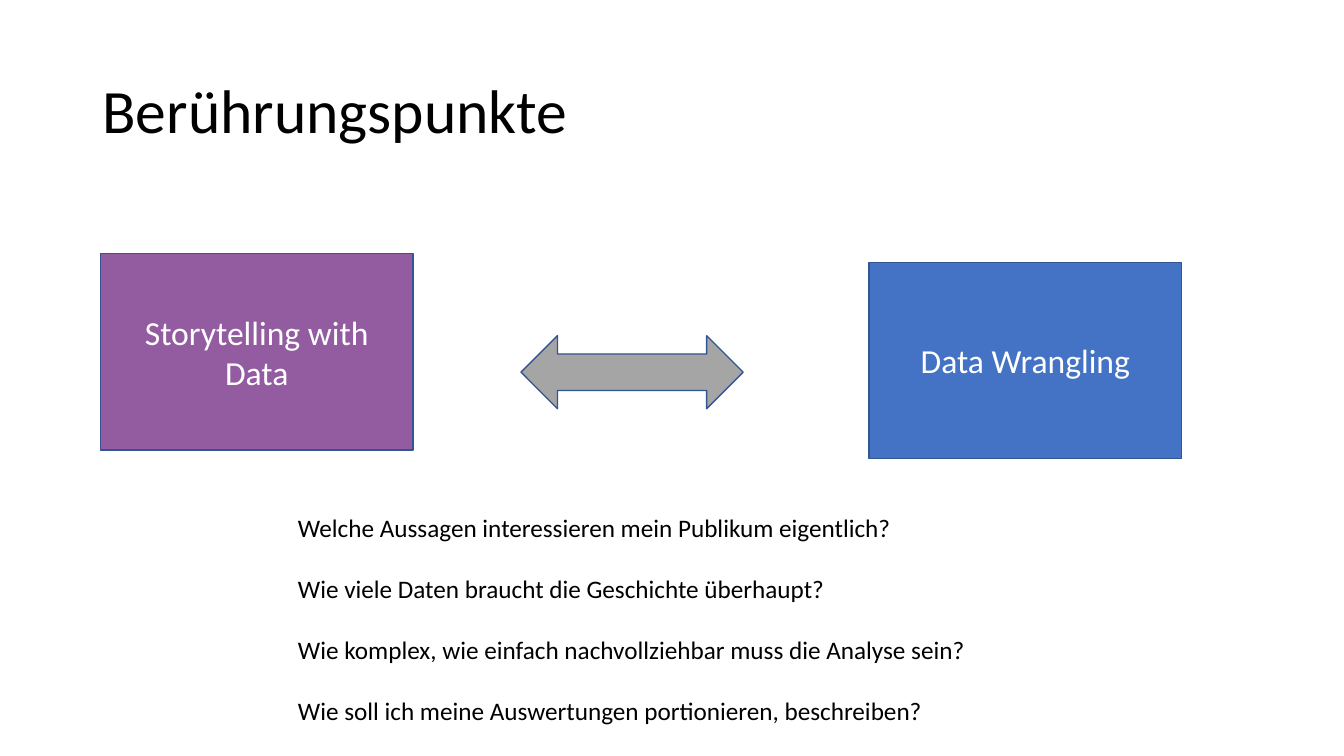
"""Build the slide on points of contact between storytelling and wrangling."""
from pptx import Presentation
from pptx.dml.color import RGBColor
from pptx.enum import shapes, text
from pptx.util import Cm, Pt

BLACK = RGBColor(0x00, 0x00, 0x00)
WHITE = RGBColor(0xFF, 0xFF, 0xFF)
BLUE = RGBColor(0x44, 0x72, 0xC4)
PURPLE = RGBColor(0x93, 0x5C, 0xA0)
GREY = RGBColor(0xA5, 0xA5, 0xA5)
NAVY = RGBColor(0x32, 0x54, 0x91)


def write(para, words, size, color):
    run = para.add_run()
    run.text = words
    run.font.name = "Calibri"
    run.font.size = Pt(size)
    run.font.color.rgb = color


deck = Presentation()
deck.slide_width, deck.slide_height = Cm(33.87), Cm(19.05)
slide = deck.slides.add_slide(deck.slide_layouts[5])

title = slide.shapes.title
title.left, title.top, title.width, title.height = Cm(2.33), Cm(1.01), Cm(29.21), Cm(3.68)
frame = title.text_frame
frame.auto_size = text.MSO_AUTO_SIZE.NONE
frame.vertical_anchor = text.MSO_ANCHOR.MIDDLE
para = frame.paragraphs[0]
para.alignment = text.PP_ALIGN.LEFT
para.line_spacing = 0.9
write(para, "Berührungspunkte", 44, BLACK)

RECT = shapes.MSO_SHAPE.RECTANGLE
ARROW = shapes.MSO_SHAPE.LEFT_RIGHT_ARROW
parts = [
    (RECT, 2.53, 6.39, 7.88, 4.95, PURPLE, "Storytelling with Data"),
    (ARROW, 13.13, 8.46, 5.6, 1.84, GREY, ""),
    (RECT, 21.9, 6.61, 7.88, 4.95, BLUE, "Data Wrangling"),
]
for kind, left, top, width, height, fill, label in parts:
    shape = slide.shapes.add_shape(kind, Cm(left), Cm(top), Cm(width), Cm(height))
    shape.shadow.inherit = False
    shape.fill.solid()
    shape.fill.fore_color.rgb = fill
    shape.line.color.rgb = NAVY
    shape.line.width = Pt(1)
    if label:
        frame = shape.text_frame
        frame.vertical_anchor = text.MSO_ANCHOR.MIDDLE
        para = frame.paragraphs[0]
        para.alignment = text.PP_ALIGN.CENTER
        write(para, label, 24, WHITE)

asks = [
    "Welche Aussagen interessieren mein Publikum eigentlich?",
    "Wie viele Daten braucht die Geschichte überhaupt?",
    "Wie komplex, wie einfach nachvollziehbar muss die Analyse sein?",
    "Wie soll ich meine Auswertungen portionieren, beschreiben?",
]
box = slide.shapes.add_textbox(Cm(7.26), Cm(12.78), Cm(20.6), Cm(5.64))
frame = box.text_frame
frame.word_wrap = True
for i, ask in enumerate(asks):
    para = frame.add_paragraph() if i else frame.paragraphs[0]
    para.space_before = Pt(22 if i else 0)
    write(para, ask, 18, BLACK)

deck.save("out.pptx")
